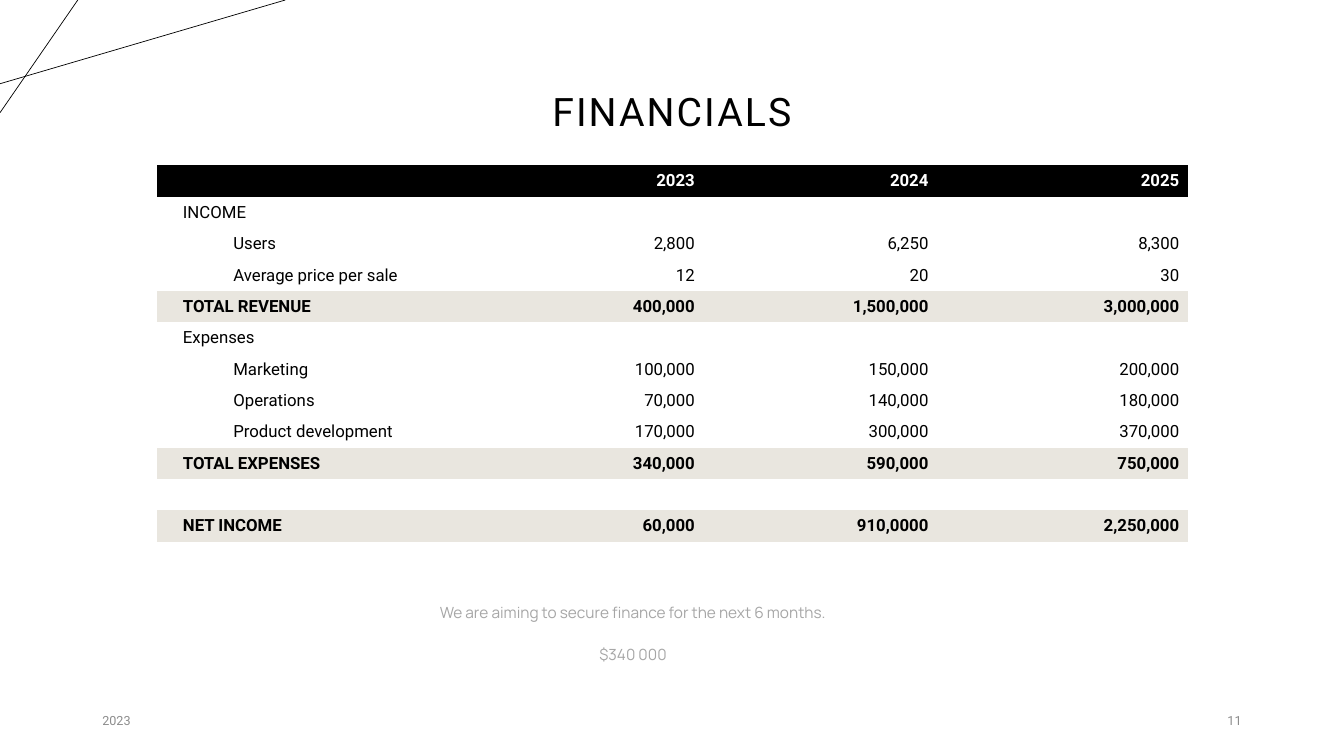
import pptx
import pptx.dml.color
import pptx.enum.shapes
import pptx.enum.text
import pptx.oxml.ns
import pptx.util
from lxml import etree

Cm = pptx.util.Cm
Pt = pptx.util.Pt
ALIGN = pptx.enum.text.PP_ALIGN
MIDDLE = pptx.enum.text.MSO_ANCHOR.MIDDLE
qn = pptx.oxml.ns.qn

COLORS = {"ink": "000000", "paper": "FFFFFF", "band": "E9E6DF", "footer": "8C8C8C", "note": "A6A6A6"}
NO_GRID_STYLE = "{2D5ABB26-0587-4C30-8999-92F81FD0307C}"
COLUMN_WIDTHS = [8.99, 4.78, 5.89, 6.32]
ROW_HEIGHT = 0.79
FINANCIALS = [
    ("header", ["", "2023", "2024", "2025"]),
    ("group", ["INCOME", "", "", ""]),
    ("item", ["Users", "2,800", "6,250", "8,300"]),
    ("item", ["Average price per sale", "12", "20", "30"]),
    ("total", ["TOTAL REVENUE", "400,000", "1,500,000", "3,000,000"]),
    ("group", ["Expenses", "", "", ""]),
    ("item", ["Marketing", "100,000", "150,000", "200,000"]),
    ("item", ["Operations", "70,000", "140,000", "180,000"]),
    ("item", ["Product development", "170,000", "300,000", "370,000"]),
    ("total", ["TOTAL EXPENSES", "340,000", "590,000", "750,000"]),
    ("spacer", ["", "", "", ""]),
    ("total", ["NET INCOME", "60,000", "910,0000", "2,250,000"]),
]
ROW_FILLS = {"header": "ink", "total": "band", "spacer": "paper"}


def color(name):
    return pptx.dml.color.RGBColor.from_string(COLORS[name])


class SlideBuilder:
    def __init__(self, deck):
        self.page = deck.slides.add_slide(deck.slide_layouts[5])

    def style(self, para, size, ink, align=ALIGN.LEFT, font="Roboto", bold=False):
        para.alignment = align
        para.font.name = font
        para.font.size = Pt(size)
        para.font.bold = bold
        para.font.color.rgb = color(ink)

    def line(self, *ends):
        line = self.page.shapes.add_connector(
            pptx.enum.shapes.MSO_CONNECTOR.STRAIGHT, *map(Cm, ends))
        line.line.color.rgb = color("ink")
        line.line.width = Pt(0.5)
        etree.SubElement(line._element.spPr, qn("a:effectLst"))

    def title(self, text, *place):
        box = self.page.shapes.title
        box.left, box.top, box.width, box.height = map(Cm, place)
        box.text_frame.text = text
        box.text_frame.vertical_anchor = MIDDLE
        para = box.text_frame.paragraphs[0]
        para.line_spacing = 0.9
        self.style(para, 28, "ink", ALIGN.CENTER)
        para.font._element.set("spc", "150")

    def text(self, lines, place, size, ink, align, font="Roboto", anchor=MIDDLE, leading=None, gap=0):
        frame = self.page.shapes.add_textbox(*map(Cm, place)).text_frame
        frame.word_wrap = True
        frame.vertical_anchor = anchor
        frame.text = "\n".join(lines)
        for index, para in enumerate(frame.paragraphs):
            if leading:
                para.line_spacing = Pt(leading)
            if index:
                para.space_before = Pt(gap)
            self.style(para, size, ink, align, font)

    def table(self, rows, left, top):
        table = self.page.shapes.add_table(
            len(rows), len(COLUMN_WIDTHS), Cm(left), Cm(top),
            Cm(sum(COLUMN_WIDTHS)), Cm(ROW_HEIGHT * len(rows))).table
        table.first_row = table.horz_banding = False
        table._tbl.tblPr.find(qn("a:tableStyleId")).text = NO_GRID_STYLE
        for column, width in zip(table.columns, COLUMN_WIDTHS):
            column.width = Cm(width)
        for row, (kind, values) in zip(table.rows, rows):
            row.height = Cm(ROW_HEIGHT)
            for index, (cell, value) in enumerate(zip(row.cells, values)):
                self.cell(cell, value, kind, index == 0)

    def cell(self, cell, value, kind, is_label):
        if kind in ROW_FILLS:
            cell.fill.solid()
            cell.fill.fore_color.rgb = color(ROW_FILLS[kind])
        else:
            cell.fill.background()
        cell.vertical_anchor = MIDDLE
        cell.margin_left = Cm(0.66 if is_label else 0.21)
        cell.margin_right = Cm(0.21)
        cell.margin_top = cell.margin_bottom = Cm(0.1)
        cell.text = value
        para = cell.text_frame.paragraphs[0]
        if is_label and kind == "item":
            para.level = 1
            para._p.get_or_add_pPr().set("marL", str(Cm(1.27)))
        self.style(para, 12, "paper" if kind == "header" else "ink",
                   ALIGN.LEFT if is_label else ALIGN.RIGHT, bold=kind in ("header", "total"))
        if not value:
            etree.SubElement(para._p, qn("a:endParaRPr"), sz="1200")


def main():
    deck = pptx.Presentation()
    deck.slide_width, deck.slide_height = Cm(33.87), Cm(19.05)
    slide = SlideBuilder(deck)
    slide.line(0, 2.11, 7.19, 0)
    slide.line(1.96, 0, 0, 2.84)
    slide.title("FINANCIALS", 2.33, 1.02, 29.21, 3.68)
    slide.table(FINANCIALS, 3.95, 4.17)
    slide.text(["2023"], (2.33, 17.65, 7.62, 1.02), 9, "footer", ALIGN.LEFT)
    slide.text(["11"], (23.92, 17.65, 7.62, 1.02), 9, "footer", ALIGN.RIGHT)
    slide.text(["We are aiming to secure finance for the next 6 months.", "$340 000"],
               (8.64, 14.91, 14.63, 1.9), 11, "note", ALIGN.CENTER, "Manrope",
               pptx.enum.text.MSO_ANCHOR.TOP, leading=18, gap=12)
    deck.save("out.pptx")


if __name__ == "__main__":
    main()
